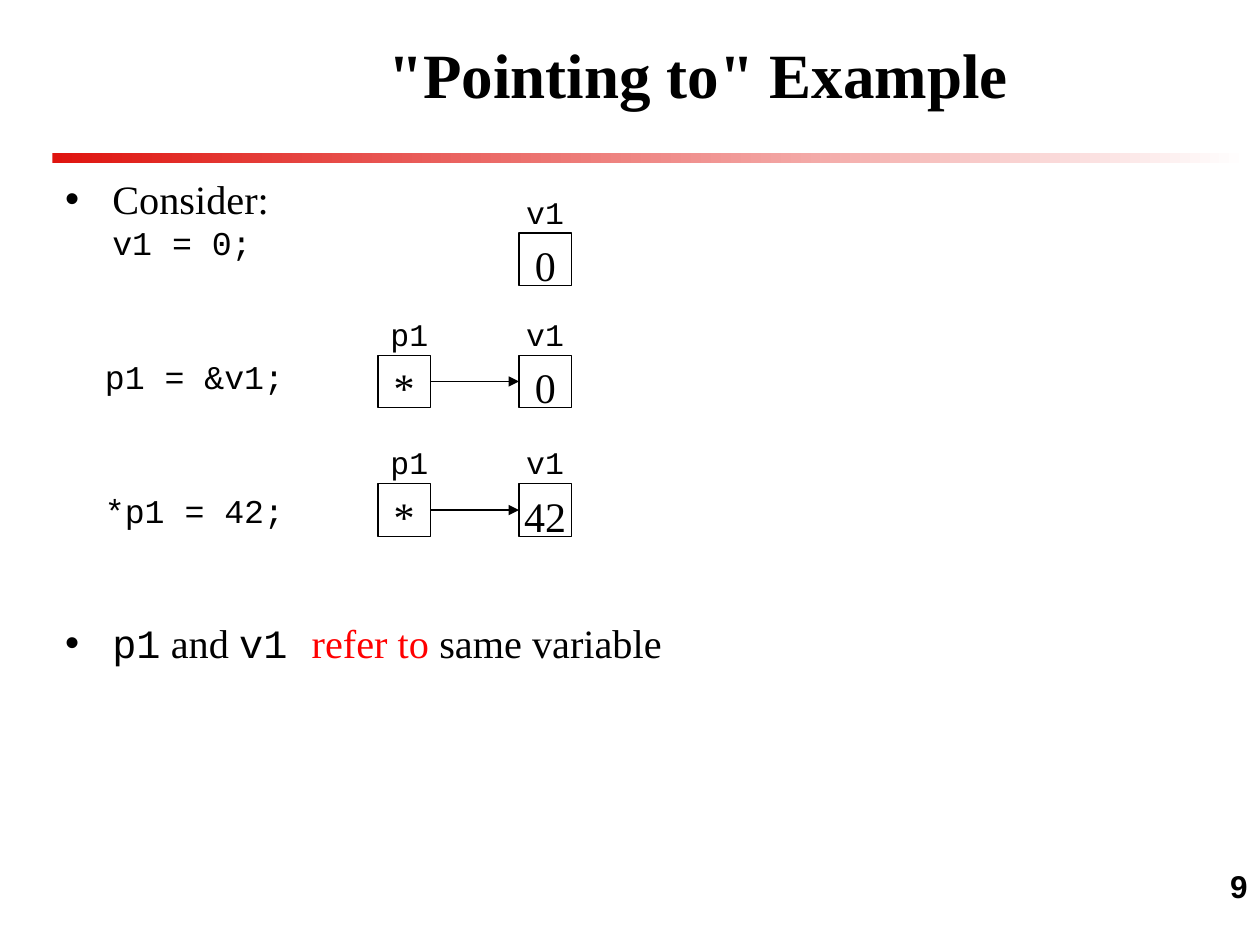
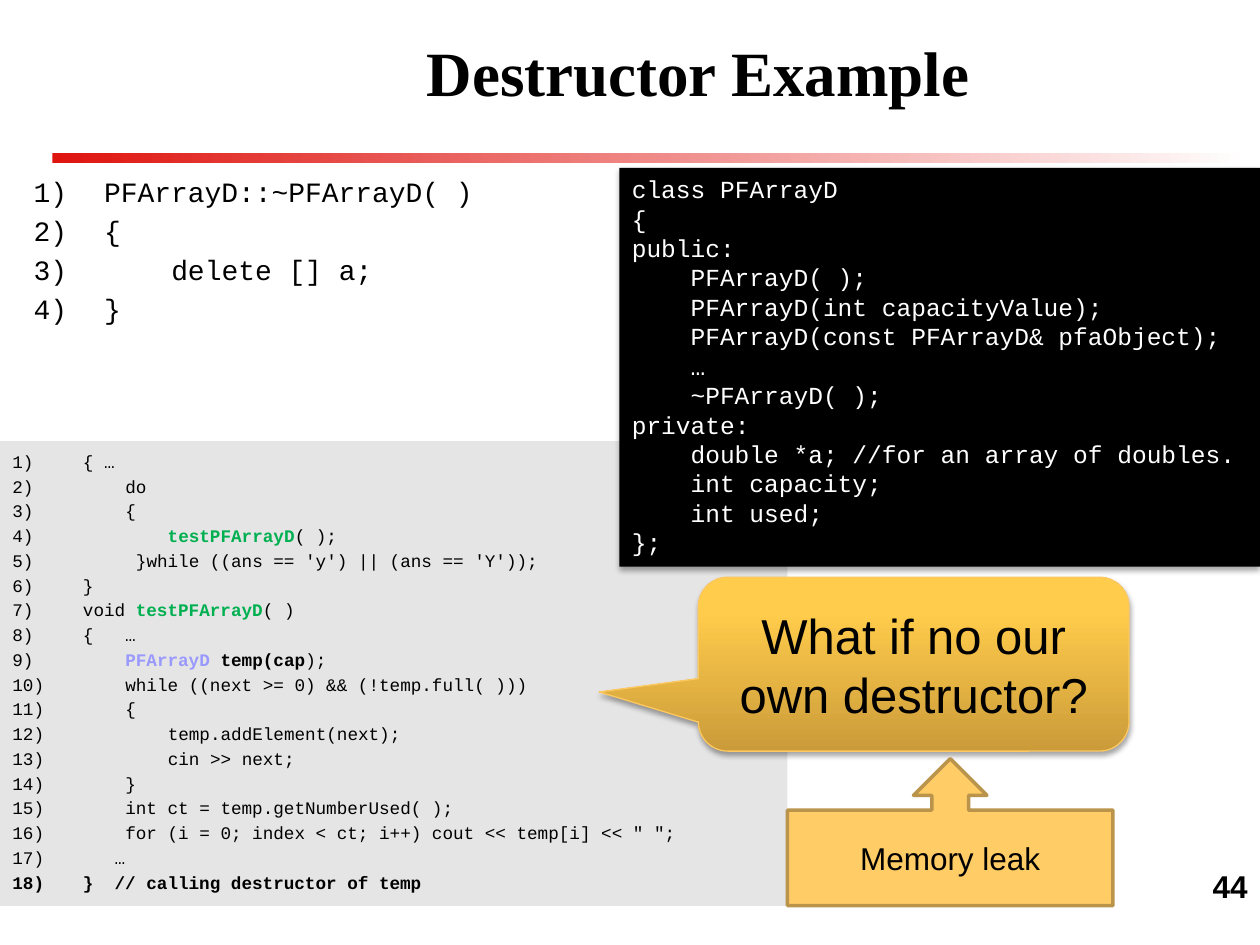
from typing import Any, NamedTuple

from lxml.etree import SubElement as Sub
from pptx import Presentation
from pptx.dml.color import RGBColor
from pptx.enum.shapes import MSO_CONNECTOR as Link, MSO_SHAPE as Kind
from pptx.enum.text import MSO_ANCHOR as Anchor, MSO_AUTO_SIZE as Auto, PP_ALIGN as Align
from pptx.oxml.ns import qn
from pptx.slide import Slide
from pptx.util import Pt

BLACK = RGBColor(0x00, 0x00, 0x00)
WHITE = RGBColor(0xFF, 0xFF, 0xFF)
RED = RGBColor(0xFF, 0x00, 0x00)
BAND = RGBColor(0xDF, 0x14, 0x0F)
GREY = RGBColor(0xE5, 0xE5, 0xE5)
GREEN = RGBColor(0x00, 0xB0, 0x50)
LILAC = RGBColor(0x99, 0x99, 0xFE)
BRONZE = RGBColor(0xCB, 0x9B, 0x3A)
GOLD = RGBColor(0xFF, 0xCC, 0x4B)
RIM = RGBColor(0xFC, 0xC8, 0x5F)
SAND = RGBColor(0xFF, 0xCC, 0x66)
BROWN = RGBColor(0xBA, 0x94, 0x4A)

SERIF, MONO, SANS = "Times New Roman", "Courier New", "Arial"
SIDE = 30
HANG = 40.3
BREAK = "\n"


class Area(NamedTuple):
    left: float
    top: float
    width: float
    height: float


class Bit(NamedTuple):
    text: str
    face: str = MONO
    size: float = 19
    ink: RGBColor = BLACK
    bold: bool = False


class Line(NamedTuple):
    bits: list[Bit]
    left: float = 0
    hang: float = 0
    mark: str = ""
    form: dict[str, Any] = {}


class Cell(NamedTuple):
    name: str
    value: str
    left: float
    shift: float = 0


class State(NamedTuple):
    top: float
    cells: list[Cell]


V_ZERO = Cell("v1", "0", 296.6, -3)
V_NEW = V_ZERO._replace(value="42")
P_STAR = Cell("p1", "*", 216)
STATES = [
    State(133.2, [V_ZERO]),
    State(203, [P_STAR, V_ZERO]),
    State(276.5, [P_STAR, V_NEW]),
]

BODY_CODE = ["PFArrayD::~PFArrayD( )", "{", "    delete [] a;", "}"]

CLASS_CODE = [
    "class PFArrayD",
    "{",
    "public:",
    "    PFArrayD( );",
    "    PFArrayD(int capacityValue);",
    "    PFArrayD(const PFArrayD& pfaObject);",
    "    …",
    "    ~PFArrayD( );",
    "private:",
    "    double *a; //for an array of doubles.",
    "    int capacity;",
    "    int used;",
    "};",
]

TEST = Bit("testPFArrayD", ink=GREEN, bold=True)
TEST_CODE = [
    "{ …",
    "    do",
    "    {",
    (7, [Bit(" "), TEST, Bit("( );")]),
    "     }while ((ans == 'y') || (ans == 'Y'));",
    "}",
    (0, [Bit("void "), TEST, Bit("( )")]),
    "{   …",
    (3, [Bit(" "), Bit("PFArrayD ", ink=LILAC, bold=True), Bit("temp(cap", bold=True), Bit(");")]),
    "    while ((next >= 0) && (!temp.full( )))",
    "    {",
    "        temp.addElement(next);",
    "        cin >> next;",
    "    }",
    "    int ct = temp.getNumberUsed( );",
    "    for (i = 0; index < ct; i++) cout << temp[i] << \" \";",
    "   …",
    (0, [Bit("}  // calling destructor of temp", bold=True)]),
]


def put(item: Any, form: dict[str, Any]) -> None:
    for key, value in form.items():
        setattr(item, key, value)


def place(item: Any, area: Area) -> None:
    put(item, {key: Pt(value) for key, value in area._asdict().items()})


def bullet(par: Any, line: Line) -> None:
    props = par._p.get_or_add_pPr()
    props.set("marL", str(Pt(line.left)))
    props.set("indent", str(Pt(-line.hang)))
    if not line.mark:
        Sub(props, qn("a:buNone"))
        return
    Sub(Sub(props, qn("a:buClr")), qn("a:srgbClr"), val=str(BLACK))
    if line.mark == "1)":
        Sub(props, qn("a:buFont"), typeface=MONO)
        Sub(props, qn("a:buAutoNum"), type="arabicParenR")
    else:
        Sub(props, qn("a:buChar"), char=line.mark)


def write(frame: Any, lines: list[Line], **form: Any) -> None:
    base = {"word_wrap": True, "auto_size": Auto.NONE, "vertical_anchor": Anchor.TOP}
    put(frame, base | form)
    for index, line in enumerate(lines):
        par = frame.add_paragraph() if index else frame.paragraphs[0]
        put(par, {"alignment": Align.LEFT, "space_before": Pt(0)} | line.form)
        bullet(par, line)
        for bit in line.bits:
            if bit.text == BREAK:
                par.add_line_break()
                continue
            run = par.add_run()
            run.text = bit.text
            put(run.font, {"name": bit.face, "size": Pt(bit.size), "bold": bit.bold})
            run.font.color.rgb = bit.ink


def label(text: str, face: str, size: float, align: Any, bold: bool = False) -> list[Line]:
    return [Line([Bit(text, face, size, bold=bold)], form={"alignment": align})]


def listing(code: list, size: float, ink: RGBColor = BLACK, mark: str = "", **form: Any) -> list[Line]:
    lines = []
    hang = HANG if mark else 0
    for index, row in enumerate(code):
        if isinstance(row, str):
            text = row.lstrip()
            row = len(row) - len(text), [Bit(text, ink=ink)]
        depth, bits = row
        inset = depth * size * 0.6
        left = hang + inset
        own = dict(form) if index else {k: v for k, v in form.items() if k != "space_before"}
        lines.append(Line([bit._replace(size=size) for bit in bits], left, left if mark else 0, mark, own))
    return lines


def panel(
    slide: Slide,
    kind: Any,
    area: Area,
    fill: RGBColor | None = None,
    edge: RGBColor | None = None,
    weight: float = 0.75,
    blend: tuple | None = None,
    shade: bool = False,
) -> Any:
    shape = slide.shapes.add_shape(kind, *map(Pt, area))
    shape.shadow.inherit = False
    if blend:
        *tones, end, angle = blend
        shape.fill.gradient()
        shape.fill.gradient_angle = angle
        for stop, tone, spot in zip(shape.fill.gradient_stops, tones, (0, end)):
            stop.color.rgb = tone
            stop.position = spot
    elif fill is not None:
        shape.fill.solid()
        shape.fill.fore_color.rgb = fill
    else:
        shape.fill.background()
    if edge is not None:
        shape.line.color.rgb = edge
        shape.line.width = Pt(weight)
    else:
        shape.line.fill.background()
    if shade:
        effects = shape._element.spPr.find(qn("a:effectLst"))
        outer = Sub(effects, qn("a:outerShdw"), blurRad=str(Pt(3.1)), dist=str(Pt(1.8)),
                    dir="5400000", rotWithShape="0")
        tone = Sub(outer, qn("a:srgbClr"), val=str(BLACK))
        Sub(tone, qn("a:alpha"), val="35000")
    return shape


def start(deck: Any, title: str, depth: float, number: str, area: Area, lines: list[Line]) -> Slide:
    slide = deck.slides.add_slide(deck.slide_layouts[1])
    head, body = slide.placeholders
    place(head, Area(78, 0, 642, depth))
    write(head.text_frame, label(title, SERIF, 36, Align.CENTER, True), vertical_anchor=Anchor.MIDDLE)
    place(body, area)
    write(body.text_frame, lines)
    panel(slide, Kind.RECTANGLE, Area(30, 87.3, 684, 5.8), blend=(BAND, WHITE, 1, 0))
    page = slide.shapes.add_textbox(*map(Pt, (570, 492, 150, 18)))
    write(page.text_frame, label(number, SANS, 18, Align.RIGHT, True))
    return slide


def draw(slide: Slide, cell: Cell, top: float) -> Any:
    box = panel(slide, Kind.RECTANGLE, Area(cell.left, top, SIDE, SIDE), edge=BLACK)
    write(box.text_frame, label(cell.value, SERIF, 24, Align.CENTER), margin_left=0, margin_right=0)
    tag = slide.shapes.add_textbox(*map(Pt, (cell.left + cell.shift, top - 26.6, 36, 28.8)))
    write(tag.text_frame, label(cell.name, MONO, 18, Align.LEFT), word_wrap=False)
    return box


def join(slide: Slide, first: Any, last: Any) -> None:
    arrow = slide.shapes.add_connector(Link.STRAIGHT, 0, 0, 0, 0)
    arrow.begin_connect(first, 3)
    arrow.end_connect(last, 1)
    arrow.line.color.rgb = BLACK
    arrow.line.width = Pt(0.75)
    Sub(arrow.line._get_or_add_ln(), qn("a:tailEnd"), type="triangle")
    Sub(arrow._element.spPr, qn("a:effectLst"))


def pointing(deck: Any) -> None:
    gap = {"space_before": Pt(53.6)}
    lines = [
        Line([Bit("Consider:", SERIF, 23), Bit(BREAK), Bit("v1 = 0;")], 27, 27, "•"),
        Line([Bit("p1 = &v1;")], 22.8, form=gap),
        Line([Bit("*p1 = 42;")], 22.8, form=gap),
        Line([
            Bit("p1", size=23),
            Bit(" and ", SERIF, 23),
            Bit("v1 ", size=23),
            Bit("refer to", SERIF, 23, RED),
            Bit(" same variable", SERIF, 23),
        ], 27, 27, "•", {"space_before": Pt(50.4)}),
    ]
    slide = start(deck, "\"Pointing to\" Example", 84, "9", Area(30, 96, 672, 384), lines)
    for state in STATES:
        boxes = [draw(slide, cell, state.top) for cell in state.cells]
        for first, last in zip(boxes, boxes[1:]):
            join(slide, first, last)


def cleanup(deck: Any) -> None:
    lines = listing(BODY_CODE, 16, mark="1)", space_before=Pt(3.2))
    slide = start(deck, "Destructor Example", 81, "44", Area(12, 96, 306, 96), lines)

    test = panel(slide, Kind.RECTANGLE, Area(0, 252, 450, 265.7), GREY)
    write(test.text_frame, listing(TEST_CODE, 10.1, mark="1)", line_spacing=1.17))

    ask = panel(slide, Kind.ROUNDED_RECTANGULAR_CALLOUT, Area(399, 329.8, 246.2, 99.4),
                edge=RIM, blend=(BRONZE, GOLD, 0.8, 90), shade=True)
    leak = panel(slide, Kind.UP_ARROW_CALLOUT, Area(450, 433.5, 186, 84), SAND, BROWN, 2)
    notes = [
        (ask, "What if no our own destructor?", 28, (-0.73, 0.16, 0.17)),
        (leak, "Memory leak", 18, (0.25, 0.25, 0.25, 0.65)),
    ]
    for shape, text, size, bends in notes:
        for index, bend in enumerate(bends):
            shape.adjustments[index] = bend
        write(shape.text_frame, label(text, SANS, size, Align.CENTER), vertical_anchor=Anchor.MIDDLE)

    board = panel(slide, Kind.RECTANGLE, Area(354, 96, 366, 227.8), BLACK, shade=True)
    write(board.text_frame, listing(CLASS_CODE, 14, WHITE))


def main() -> None:
    deck = Presentation()
    put(deck, {"slide_width": Pt(720), "slide_height": Pt(540)})
    pointing(deck)
    cleanup(deck)
    deck.save("out.pptx")


if __name__ == "__main__":
    main()
